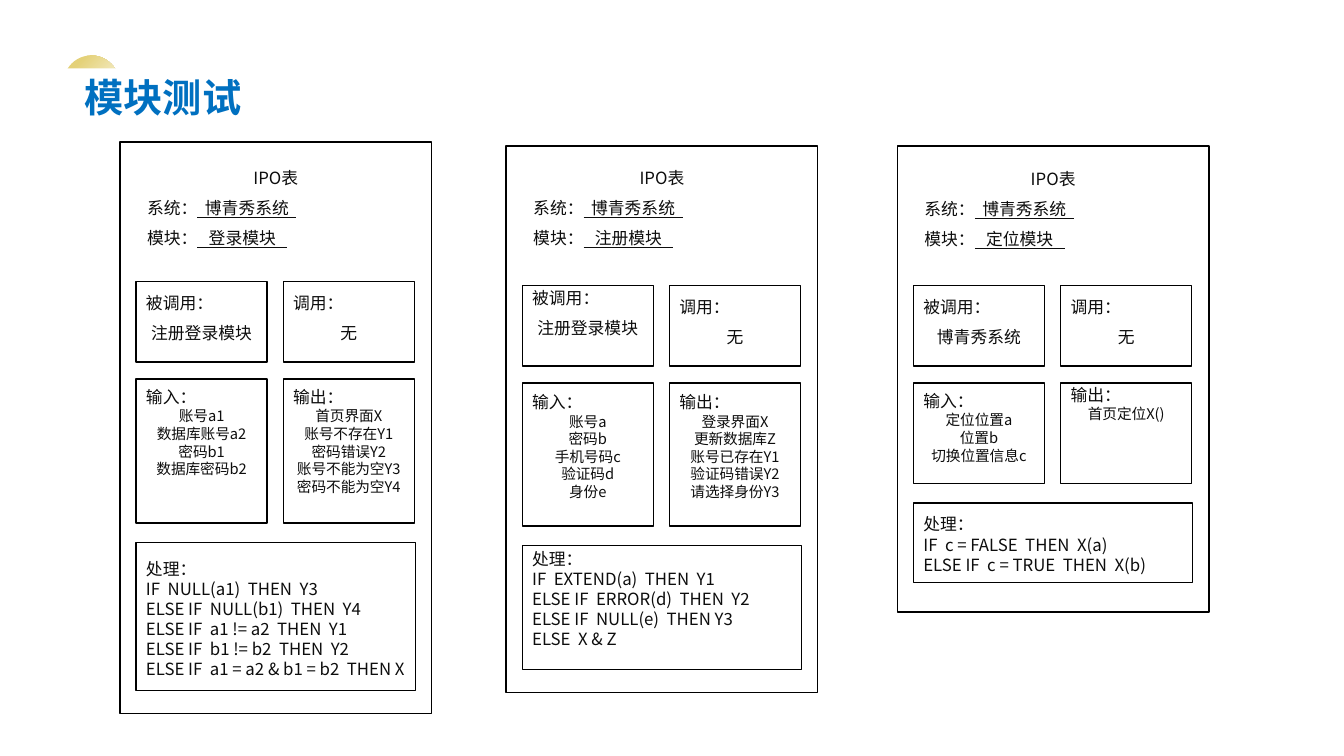
"""Build the module test slide with three IPO tables."""
from dataclasses import dataclass

from pptx import Presentation
from pptx.dml.color import RGBColor
from pptx.enum.shapes import MSO_SHAPE
from pptx.enum.text import MSO_ANCHOR, PP_ALIGN
from pptx.util import Inches, Pt

RECTANGLE, OVAL = MSO_SHAPE.RECTANGLE, MSO_SHAPE.OVAL
TOP, MIDDLE = MSO_ANCHOR.TOP, MSO_ANCHOR.MIDDLE
LEFT, CENTER = PP_ALIGN.LEFT, PP_ALIGN.CENTER


@dataclass(frozen=True)
class Theme:
    font: str = "Noto Sans CJK SC"
    title: RGBColor = RGBColor(0x00, 0x70, 0xC0)
    ink: RGBColor = RGBColor(0x0D, 0x0D, 0x0D)
    border: RGBColor = RGBColor(0, 0, 0)
    gold: RGBColor = RGBColor(0xE4, 0xD1, 0x78)
    white: RGBColor = RGBColor(0xFF, 0xFF, 0xFF)
    title_size: float = 28
    body_size: float = 12
    item_size: float = 10.5


theme = Theme()
BODY = {"size": theme.body_size, "color": theme.ink}
LABEL = BODY | {"spacing": 14.4}
LOOSE = BODY | {"spacing": 21.7}
ITEM = BODY | {"size": theme.item_size, "spacing": 12.6, "align": CENTER}
FIELD = LOOSE | {"indent": 0.17}


def add_box(shapes, left, top, width, height, pad, right=0.1):
    """Add an outlined rectangle with top-aligned text."""
    box = shapes.add_shape(RECTANGLE, Inches(left), Inches(top), Inches(width), Inches(height))
    box.shadow.inherit = False
    box.fill.background()
    box.line.color.rgb = theme.border
    box.line.width = Pt(1)
    frame_format = {"word_wrap": True, "vertical_anchor": TOP, "margin_left": Inches(0.1),
                    "margin_right": Inches(right), "margin_top": Inches(pad), "margin_bottom": 0}
    for name, value in frame_format.items():
        setattr(box.text_frame, name, value)
    return box


def write(box, lines):
    """Write (format, span, underlined span...) lines into a box."""
    for number, (style, *spans) in enumerate(lines):
        frame = box.text_frame
        para = frame.add_paragraph() if number else frame.paragraphs[0]
        para.alignment = style.get("align", LEFT)
        if "spacing" in style:
            para.line_spacing = Pt(style["spacing"])
        if "indent" in style:
            para._p.get_or_add_pPr().set("indent", str(Inches(style["indent"])))
        for order, text in enumerate(spans):
            span = para.add_run()
            span.text = text
            span.font.color.rgb = style["color"]
            values = {"name": theme.font, "size": Pt(style["size"]),
                      "bold": style.get("bold", False), "underline": order > 0}
            for name, value in values.items():
                setattr(span.font, name, value)
            east_asian = span._r.get_or_add_rPr().makeelement(
                "{http://schemas.openxmlformats.org/drawingml/2006/main}ea", {"typeface": theme.font})
            span.font._element.append(east_asian)


deck = Presentation()
deck.slide_width, deck.slide_height = Inches(13.33), Inches(7.5)
page = deck.slides.add_slide(deck.slide_layouts[6])

dome = page.shapes.add_shape(OVAL, Inches(0.63), Inches(0.55), Inches(0.55), Inches(0.55))
dome.shadow.inherit = False
dome.line.fill.background()
dome.fill.gradient()
dome.fill.gradient_angle = 315
for stop, position, color in zip(dome.fill.gradient_stops, (0.2, 1), (theme.gold, theme.white)):
    stop.position = position
    stop.color.rgb = color

title = add_box(page.shapes, 0.4, 0.68, 4.51, 0.57, 0)
title.fill.solid()
title.fill.fore_color.rgb = theme.white
title.line.fill.background()
title.text_frame.vertical_anchor = MIDDLE
title.text_frame.margin_left = Inches(0.44)
write(title, [({"size": theme.title_size, "color": theme.title, "bold": True}, "模块测试")])

cards = [
    {"at": (1.19, 1.41), "height": 5.67, "pad": 0.25, "module": "登录模块",
     "caller": (0.11, "注册登录模块"), "io_height": 1.43,
     "input": (0.08, ["账号a1", "数据库账号a2", "密码b1", "数据库密码b2"]),
     "output": (0.08, ["首页界面X", "账号不存在Y1", "密码错误Y2", "账号不能为空Y3", "密码不能为空Y4"]),
     "process_height": 1.47,
     "process": (0.16, ["IF  NULL(a1)  THEN  Y3", "ELSE IF  NULL(b1)  THEN  Y4",
                        "ELSE IF  a1 != a2  THEN  Y1", "ELSE IF  b1 != b2  THEN  Y2",
                        "ELSE IF  a1 = a2 & b1 = b2  THEN X"])},
    {"at": (5.02, 1.45), "height": 5.42, "pad": 0.21, "module": "注册模块",
     "caller": (0.02, "注册登录模块"), "io_height": 1.42,
     "input": (0.09, ["账号a", "密码b", "手机号码c", "验证码d", "身份e"]),
     "output": (0.09, ["登录界面X", "更新数据库Z", "账号已存在Y1", "验证码错误Y2", "请选择身份Y3"]),
     "process_height": 1.23,
     "process": (0.03, ["IF  EXTEND(a)  THEN  Y1", "ELSE IF  ERROR(d)  THEN  Y2",
                        "ELSE IF  NULL(e)  THEN Y3", "ELSE  X & Z"])},
    {"at": (8.9, 1.45), "height": 4.62, "pad": 0.22, "module": "定位模块",
     "caller": (0.11, "博青秀系统"), "io_height": 1.0,
     "input": (0.08, ["定位位置a", "位置b", "切换位置信息c"]),
     "output": (0.02, ["首页定位X()"]),
     "process_height": 0.79,
     "process": (0.11, ["IF  c = FALSE  THEN  X(a)", "ELSE IF  c = TRUE  THEN  X(b)"])},
]

COLUMNS = (0.16, 1.62)
CALL_ROW, CALL_HEIGHT, IO_ROW, GAP = 1.38, 0.8, 2.35, 0.19
CELL_WIDTH = 1.3

for card in cards:
    shapes = page.shapes.add_group_shape().shapes
    left, top = card["at"]
    outline = add_box(shapes, left, top, 3.09, card["height"], card["pad"])
    write(outline, [(LABEL | {"align": CENTER}, "IPO表"),
                    (FIELD, "系统：", "  博青秀系统  "),
                    (FIELD, "模块：", f"   {card['module']}   ")])

    calls = [("被调用：", *card["caller"]), ("调用：", 0.11, "无")]
    for column, (label, pad, name) in zip(COLUMNS, calls):
        box = add_box(shapes, left + column, top + CALL_ROW, CELL_WIDTH, CALL_HEIGHT, pad)
        write(box, [(LABEL, label), (LOOSE | {"align": CENTER}, name)])

    flows = [("输入：", *card["input"]), ("输出：", *card["output"])]
    for column, (label, pad, items) in zip(COLUMNS, flows):
        box = add_box(shapes, left + column, top + IO_ROW, CELL_WIDTH, card["io_height"], pad)
        write(box, [(LABEL, label)] + [(ITEM, item) for item in items])

    pad, rules = card["process"]
    process_top = top + IO_ROW + card["io_height"] + GAP
    box = add_box(shapes, left + COLUMNS[0], process_top, 2.77, card["process_height"], pad, right=0.02)
    write(box, [(LABEL, text) for text in ["处理：", *rules]])

deck.save("out.pptx")
